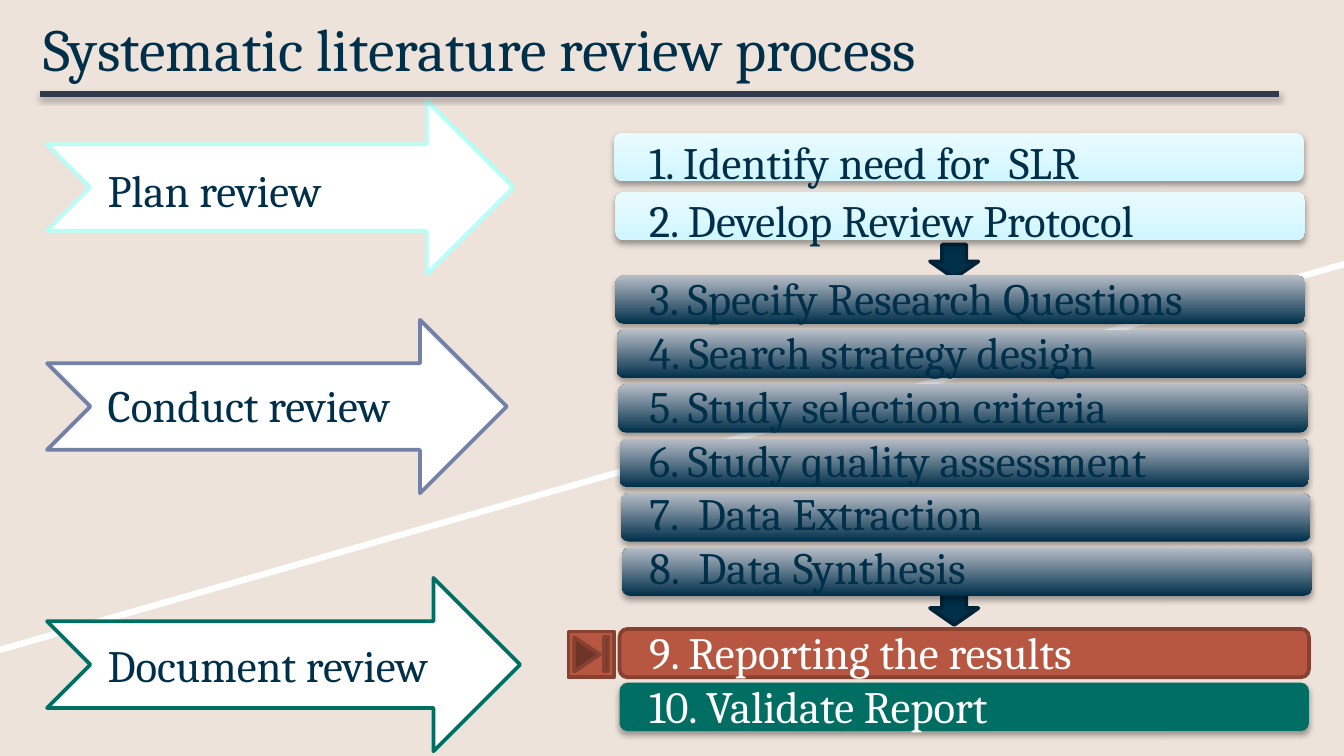
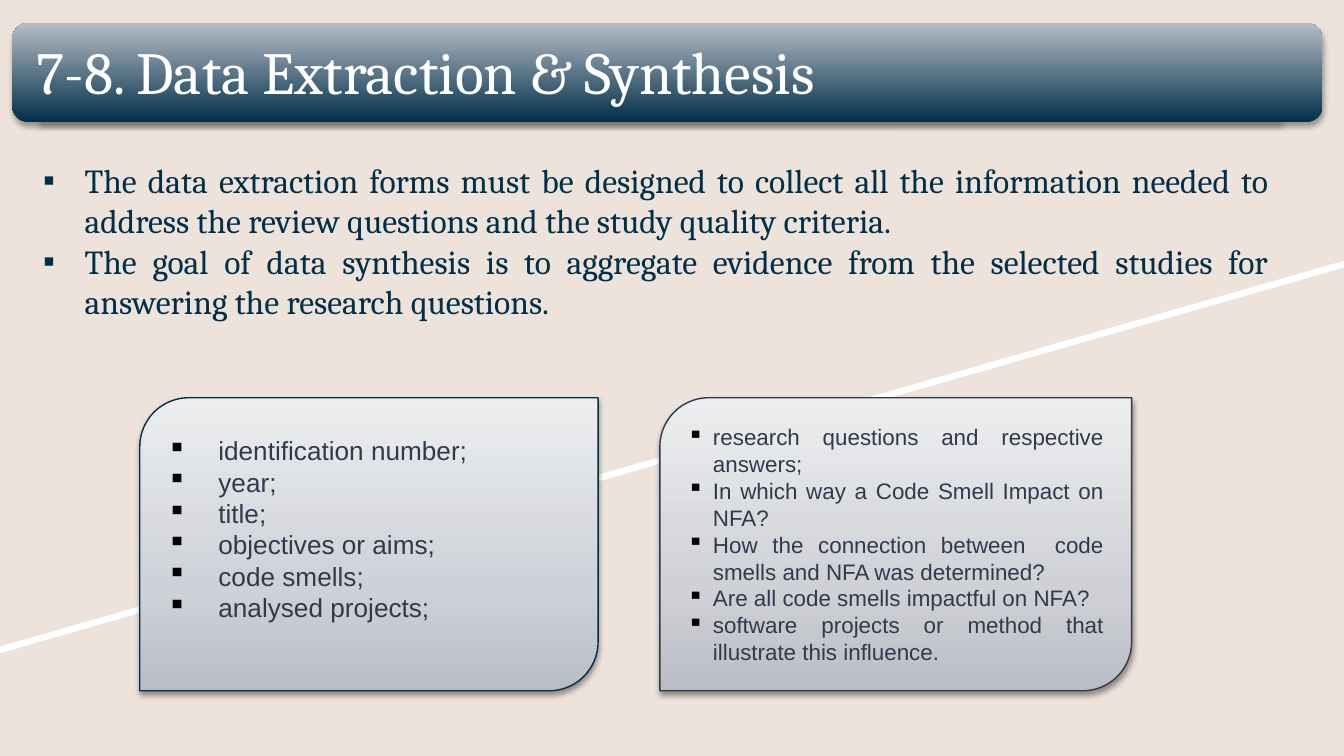
"""Build two slides on the systematic literature review process."""
from lxml import etree
from pptx import Presentation
from pptx.dml.color import RGBColor
from pptx.enum.shapes import MSO_CONNECTOR, MSO_SHAPE
from pptx.enum.text import MSO_ANCHOR, MSO_AUTO_SIZE, PP_ALIGN
from pptx.oxml.ns import qn
from pptx.util import Inches, Pt

LINE = MSO_CONNECTOR.STRAIGHT
BAR = MSO_SHAPE.ROUNDED_RECTANGLE
CARD = MSO_SHAPE.ROUND_2_DIAG_RECTANGLE
STAGE = MSO_SHAPE.NOTCHED_RIGHT_ARROW
DOWN = MSO_SHAPE.DOWN_ARROW
END_BUTTON = MSO_SHAPE.ACTION_BUTTON_END
TOP, MIDDLE = MSO_ANCHOR.TOP, MSO_ANCHOR.MIDDLE
LEFT, JUSTIFY = PP_ALIGN.LEFT, PP_ALIGN.JUSTIFY

SAND = RGBColor(0xED, 0xE3, 0xDA)
WHITE = RGBColor(0xFF, 0xFF, 0xFF)
BLACK = RGBColor(0x00, 0x00, 0x00)
NAVY = RGBColor(0x00, 0x2F, 0x4A)
DARK_NAVY = RGBColor(0x00, 0x23, 0x37)
SLATE = RGBColor(0x31, 0x39, 0x4D)
PERIWINKLE = RGBColor(0x72, 0x81, 0xA5)
AQUA = RGBColor(0xB6, 0xFF, 0xF8)
GREEN = RGBColor(0x00, 0x6E, 0x63)
RUST = RGBColor(0xB8, 0x57, 0x41)
DARK_RUST = RGBColor(0x88, 0x40, 0x30)
NAVY_FADE = [(0, NAVY), (100, RGBColor(0xB7, 0xBD, 0xC7))]
ICE_FADE = [(0, RGBColor(0xD0, 0xF6, 0xFF)), (100, RGBColor(0xE9, 0xFB, 0xFF))]
BLUE_GREY_FADE = [(0, RGBColor(0xB8, 0xBD, 0xC6)), (35, RGBColor(0xCE, 0xD1, 0xD7)),
                  (100, RGBColor(0xEC, 0xEE, 0xF0))]
GREY_FADE = [(0, RGBColor(0xBB, 0xBD, 0xC5)), (35, RGBColor(0xD0, 0xD1, 0xD6)),
             (100, RGBColor(0xED, 0xEE, 0xF0))]
SERIF, SANS = "Cambria", "Arial"

WIDTH = Inches(10)
HEIGHT = WIDTH * 9 // 16
UNIT = WIDTH // 100


def draw(slide, kind, box, fill=None, line=None, weight=2, shadow=None):
    """Draw a shape or a rule on the grid; shadow is its opacity in percent."""
    x, y, w, h = [round(v * UNIT) for v in box]
    if kind is LINE:
        item = slide.shapes.add_connector(LINE, x, y, x + w, y + h)
    else:
        item = slide.shapes.add_shape(kind, x, y, w, h)
        if isinstance(fill, list):
            item.fill.gradient()
            item.fill.gradient_angle = 90
            stops = item.element.spPr.find(qn("a:gradFill")).find(qn("a:gsLst"))
            stops.clear()
            for position, color in fill:
                stop = etree.SubElement(stops, qn("a:gs"), pos=str(position * 1000))
                etree.SubElement(stop, qn("a:srgbClr"), val=str(color))
        else:
            item.fill.solid()
            item.fill.fore_color.rgb = fill
    if line:
        item.line.color.rgb = line
        item.line.width = Pt(weight)
    else:
        item.line.fill.background()
    effects = etree.SubElement(item.element.spPr, qn("a:effectLst"))
    if shadow:
        cast = etree.SubElement(effects, qn("a:outerShdw"), blurRad=str(Pt(3.1)),
                                dist=str(Pt(1.8)), dir="5400000", rotWithShape="0")
        tint = etree.SubElement(cast, qn("a:srgbClr"), val=str(BLACK))
        etree.SubElement(tint, qn("a:alpha"), val=str(shadow * 1000))
    return item


def write(shape, lines, box=None, size=24, color=NAVY, font=SERIF, align=LEFT,
          anchor=TOP, hang=0, bullet=None, gaps=None):
    """Fill a shape with paragraphs; a box moves a placeholder and brings it to the front."""
    frame = shape.text_frame
    if box:
        shape.left, shape.top, shape.width, shape.height = [round(v * UNIT) for v in box]
        shape.element.getparent().append(shape.element)
        frame.margin_left = frame.margin_right = UNIT
        frame.margin_top = frame.margin_bottom = UNIT
    frame.text = "\n".join(lines)
    frame.word_wrap = True
    frame.auto_size = MSO_AUTO_SIZE.NONE
    frame.vertical_anchor = anchor
    for index, paragraph in enumerate(frame.paragraphs):
        paragraph.alignment = align
        paragraph.space_before = Pt((gaps or {}).get(index, 0))
        run_font = paragraph.runs[0].font
        run_font.name, run_font.size, run_font.color.rgb = font, Pt(size), color
        props = paragraph.runs[0].font and paragraph._p.get_or_add_pPr()
        props.set("marL", str(round(hang * UNIT)))
        props.set("indent", str(round(-hang * UNIT)))
        if bullet:
            tint = etree.SubElement(props, qn("a:buClr"))
            etree.SubElement(tint, qn("a:srgbClr"), val=str(bullet))
            etree.SubElement(props, qn("a:buChar"), char="▪")
        else:
            etree.SubElement(props, qn("a:buNone"))


deck = Presentation()
deck.slide_width, deck.slide_height = WIDTH, HEIGHT
master = deck.slide_master
master.background.fill.solid()
master.background.fill.fore_color.rgb = SAND

process = deck.slides.add_slide(deck.slide_layouts[3])
for order, (drop, color) in enumerate([(0.5, WHITE), (0, SAND)]):
    outline = process.shapes.build_freeform(0, round(drop * UNIT), scale=1.0)
    outline.add_line_segments(
        [(WIDTH, round(drop * UNIT)), (WIDTH, round((19.4 + drop) * UNIT)),
         (0, round((48.1 + drop) * UNIT))], close=True)
    backdrop = outline.convert_to_shape()
    backdrop.fill.solid()
    backdrop.fill.fore_color.rgb = color
    backdrop.line.fill.background()
    backdrop.shadow.inherit = False
    backdrop.element.nvSpPr.cNvPr.id = 50 + order
    master.shapes.element.insert(2 + order, backdrop.element)

for top in (44, 18.2):
    draw(process, DOWN, (69.2, top, 3.6, 2.5), NAVY, DARK_NAVY)
for top, length, color in [(7.5, 34.7, AQUA), (23.8, 34.2, PERIWINKLE), (43, 35.2, GREEN)]:
    draw(process, STAGE, (3.5, top, length, 12.9), WHITE, color)

for left, top, pitch, count, fade in [(45.7, 9.9, 4.4, 2, ICE_FADE),
                                      (45.8, 20.5, 4.05, 6, NAVY_FADE)]:
    for step in range(count):
        draw(process, BAR, (left + 0.1 * step, top + pitch * step, 51.3, 3.6),
             fade, shadow=35)
draw(process, BAR, (46.1, 50.8, 51.3, 3.6), GREEN, shadow=35)
draw(process, BAR, (46.1, 46.8, 51.3, 3.6), RUST, DARK_RUST)
draw(process, END_BUTTON, (42.3, 47, 3.4, 3.4), RUST, DARK_RUST)
draw(process, LINE, (3, 7, 92.2, 0), line=SLATE, weight=3, shadow=35)

heading, stages, steps = process.placeholders
write(heading, ["Systematic literature review process"], (2.2, -0.1, 93.2, 8.6), size=32)
write(stages, ["Plan review", "Conduct review", "Document review"],
      (7, 11.1, 31.2, 43), gaps={1: 86.4, 2: 110.4})
write(steps, ["1. Identify need for  SLR", "2. Develop Review Protocol",
              "3. Specify Research Questions", "4. Search strategy design",
              "5. Study selection criteria", "6. Study quality assessment",
              "7.  Data Extraction", "8.  Data Synthesis",
              "9. Reporting the results", "10. Validate Report"],
      (47.3, 9, 50, 46.5), gaps={1: 2.4, 2: 13.2, 8: 16.8})
for reporting_step in steps.text_frame.paragraphs[-2:]:
    reporting_step.runs[0].font.color.rgb = WHITE

extraction = deck.slides.add_slide(deck.slide_layouts[1])
draw(extraction, LINE, (3, 8.8, 92.2, 0), line=SLATE, weight=3, shadow=35)
draw(extraction, BAR, (0.9, 1.7, 97.5, 7.4), NAVY_FADE, shadow=35)
heading, goals = extraction.placeholders
write(heading, ["7-8. Data Extraction & Synthesis"], (1.7, 1.6, 83.4, 9.2),
      size=32, color=WHITE)
write(goals, ["The data extraction forms must be designed to collect all the information "
              "needed to address the review questions and the study quality criteria.",
              "The goal of data synthesis is to aggregate evidence from the selected "
              "studies for answering the research questions."],
      (2.2, 10.9, 93.2, 14), size=18, align=JUSTIFY, hang=3.1, bullet=NAVY)

form_fields = ["identification number;", "year;", "title;", "objectives or aims;",
               "code smells;", "analysed projects;"]
synthesis_questions = ["research questions and respective answers;",
                       "In which way a Code Smell Impact on NFA?",
                       "How the connection between  code smells and NFA was determined?",
                       "Are all code smells impactful on NFA?",
                       "software projects or method that illustrate this influence."]
for left, width, fade, edge, lines, size, hang, foot in [
        (10.4, 34.1, BLUE_GREY_FADE, NAVY, form_fields, 14, 3.8, 2.8),
        (49.1, 35.1, GREY_FADE, SLATE, synthesis_questions, 12, 1.9, 0.5)]:
    card = draw(extraction, CARD, (left, 29.6, width, 21.8), fade, edge, 0.75, 38)
    write(card, lines, size=size, color=SLATE, font=SANS, align=JUSTIFY,
          anchor=MIDDLE, hang=hang, bullet=BLACK)
    card.text_frame.margin_bottom = round(foot * UNIT)

deck.save("out.pptx")
